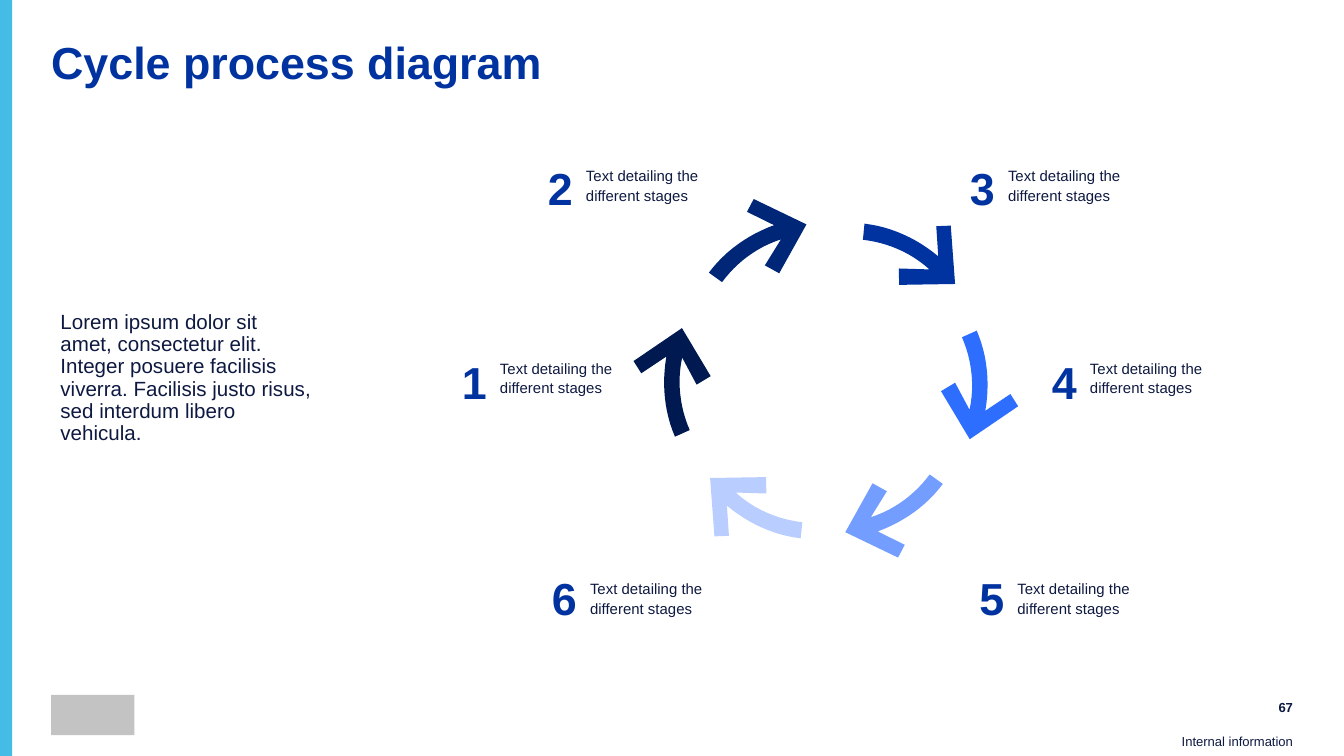
import pptx
import pptx.util
import pptx.dml.color
import pptx.enum.shapes
import pptx.enum.text

Inches = pptx.util.Inches
Align = pptx.enum.text.PP_ALIGN
Anchor = pptx.enum.text.MSO_ANCHOR

WIDTH = 10
HEIGHT = WIDTH * 9 / 16
NAVY, BLUE = "0E1941", "0033A0"
TITLE = "Cycle process diagram"
BODY = ("Lorem ipsum dolor sit amet, consectetur elit. Integer posuere facilisis "
        "viverra. Facilisis justo risus, sed interdum libero vehicula.")
STAGE_TEXT = "Text detailing the different stages"
LABEL_INSETS = (0, 0.05, 0.1, 0.05)

STAGES = [
    {"number": "1", "fill": "001950", "arrow": (4.6, 2.52), "label": (3.4, 2.55, 0.32), "text_top": 2.61},
    {"number": "2", "fill": "002678", "arrow": (5.25, 1.48), "label": (4.04, 1.11, 0.32), "text_top": 1.18},
    {"number": "3", "fill": "0033A0", "arrow": (6.45, 1.55), "label": (7.18, 1.11, 0.32), "text_top": 1.18},
    {"number": "4", "fill": "2D6EFF", "arrow": (6.93, 2.6), "label": (7.79, 2.55, 0.32), "text_top": 2.61},
    {"number": "5", "fill": "739EFF", "arrow": (6.28, 3.56), "label": (7.18, 4.16, 0.39), "text_top": 4.25},
    {"number": "6", "fill": "B9CEFE", "arrow": (5.18, 3.53), "label": (4.07, 4.16, 0.32), "text_top": 4.25},
]
FIRST_ANGLE = 293.9
ARROW_HEAD = [(0.52, 0.21), (0.33, 0.09), (0.39, 0), (0.76, 0.23),
              (0.52, 0.57), (0.42, 0.5), (0.56, 0.32)]
INNER_CURVE = [(0.56, 0.32), (0.37, 0.36), (0.21, 0.46), (0.09, 0.59)]
OUTER_CURVE = [(0, 0.51), (0.14, 0.36), (0.32, 0.26), (0.52, 0.21)]


def color(value):
    return pptx.dml.color.RGBColor.from_string(value)


def paint(shape, fill):
    shape.shadow.inherit = False
    shape.fill.solid()
    shape.fill.fore_color.rgb = color(fill)
    shape.line.fill.background()


def add_block(shapes, fill, *area):
    kind = pptx.enum.shapes.MSO_SHAPE.RECTANGLE
    paint(shapes.add_shape(kind, *map(Inches, area)), fill)


def add_text(shapes, text, area, size, fill=NAVY, bold=False, align=Align.LEFT,
             anchor=Anchor.TOP, insets=(0, 0, 0, 0), spacing=1.0, after=0):
    frame = shapes.add_textbox(*map(Inches, area)).text_frame
    frame.word_wrap = True
    frame.vertical_anchor = anchor
    (frame.margin_left, frame.margin_top,
     frame.margin_right, frame.margin_bottom) = map(Inches, insets)
    para = frame.paragraphs[0]
    para.text = text
    para.alignment = align
    para.line_spacing = spacing
    para.space_after = pptx.util.Pt(after)
    para.font.name = "Arial"
    para.font.size = pptx.util.Pt(size)
    para.font.bold = bold
    para.font.color.rgb = color(fill)


def curve_points(controls, steps=12):
    points = []
    for step in range(steps + 1):
        t = step / steps
        weights = ((1 - t) ** 3, 3 * t * (1 - t) ** 2, 3 * t * t * (1 - t), t ** 3)
        points.append(tuple(sum(w * p[axis] for w, p in zip(weights, controls))
                            for axis in (0, 1)))
    return points


def add_arrow(shapes, corner, angle, fill):
    outline = ARROW_HEAD + curve_points(INNER_CURVE)[1:] + curve_points(OUTER_CURVE)
    points = [(Inches(x), Inches(y)) for x, y in outline]
    builder = shapes.build_freeform(*points[0])
    builder.add_line_segments(points[1:], close=True)
    arrow = builder.convert_to_shape(*map(Inches, corner))
    arrow.rotation = angle
    paint(arrow, fill)


def add_label(shapes, number, number_area, text_top):
    left, top, width = number_area
    group = shapes.add_group_shape().shapes
    add_text(group, STAGE_TEXT, (left + width, text_top, 1.08, 0.42), 8,
             insets=LABEL_INSETS, spacing=1.1, after=6)
    add_text(group, number, (left, top, width, 0.47), 24, BLUE, True, Align.RIGHT,
             insets=LABEL_INSETS, spacing=1.1, after=6)


def main():
    deck = pptx.Presentation()
    deck.slide_width, deck.slide_height = Inches(WIDTH), Inches(HEIGHT)
    shapes = deck.slides.add_slide(deck.slide_layouts[6]).shapes

    add_block(shapes, "45BCE5", 0, 0, 0.09, HEIGHT)
    add_text(shapes, "Internal information", (8.72, 5.46, 0.9, 0.16), 7,
             align=Align.RIGHT, anchor=Anchor.BOTTOM, insets=(0, 0, 0, 0.05))
    add_block(shapes, "C3C3C3", 0.38, 5.17, 0.62, 0.3)
    add_text(shapes, TITLE, (0.38, 0.3, 9.25, 0.49), 24, BLUE, True, spacing=0.9)
    add_text(shapes, "67", (9.03, 5.17, 0.59, 0.18), 7, bold=True,
             align=Align.RIGHT, anchor=Anchor.MIDDLE)

    for index, stage in enumerate(STAGES):
        angle = (FIRST_ANGLE + 60 * index) % 360
        add_arrow(shapes, stage["arrow"], angle, stage["fill"])
    for stage in STAGES:
        add_label(shapes, stage["number"], stage["label"], stage["text_top"])

    add_text(shapes, BODY, (0.38, 2.38, 2.03, 0.87), 11, anchor=Anchor.MIDDLE,
             insets=(0.07, 0.04, 0.07, 0.04), spacing=0.9)
    deck.save("out.pptx")


if __name__ == "__main__":
    main()
